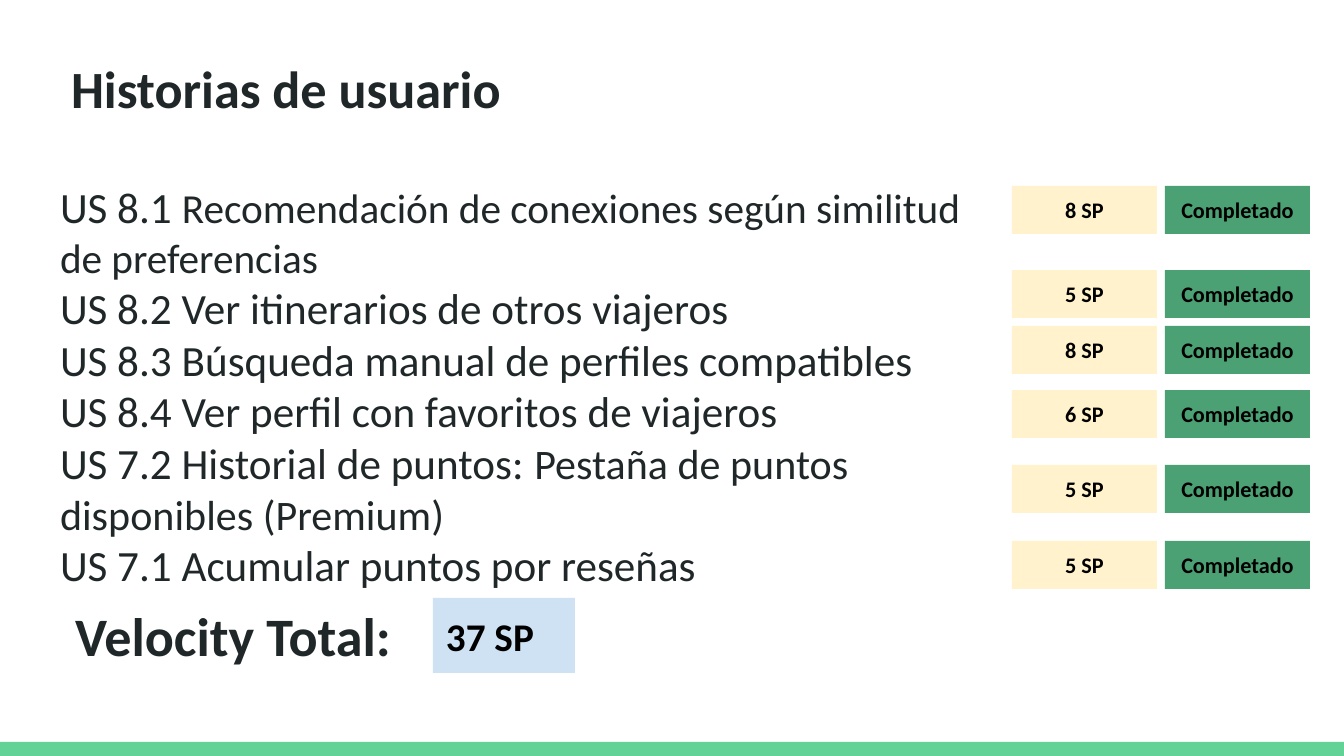
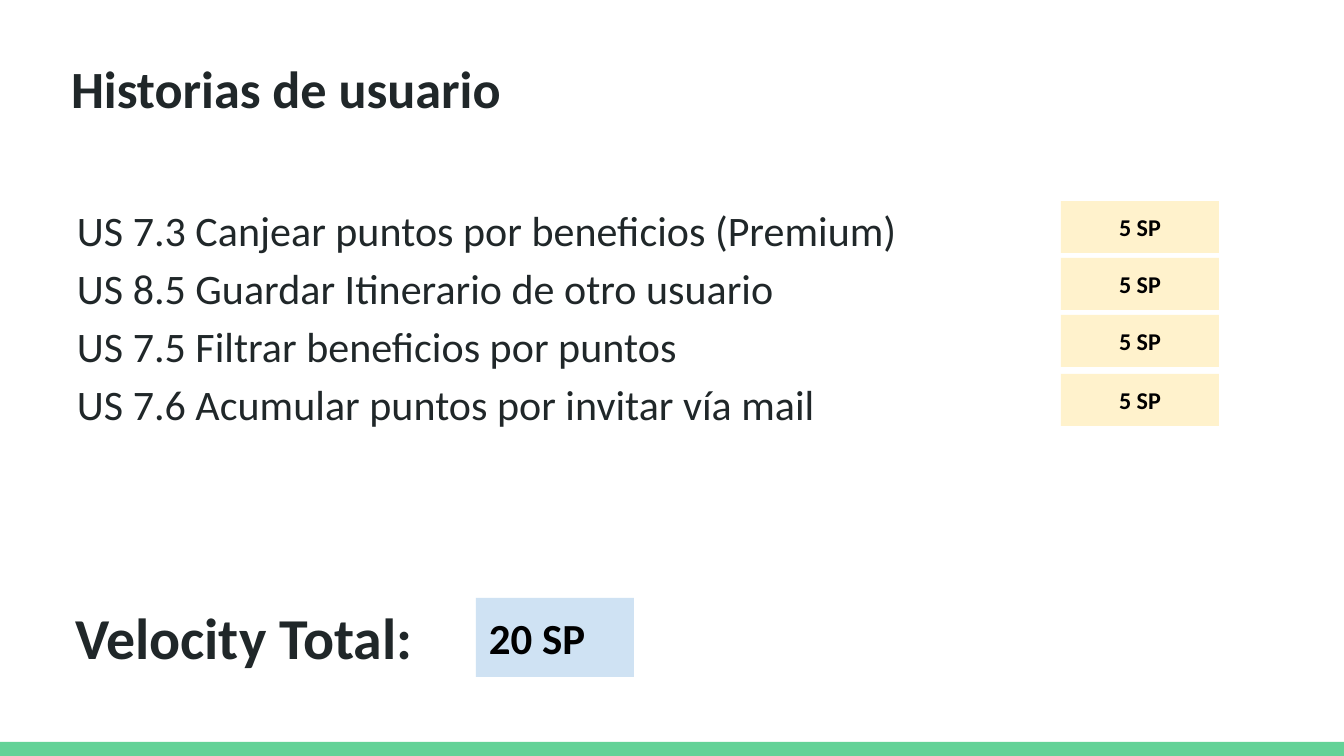
from dataclasses import dataclass

from lxml import etree
from pptx import Presentation
from pptx.dml.color import RGBColor
from pptx.enum.shapes import MSO_SHAPE
from pptx.enum.text import MSO_ANCHOR, MSO_AUTO_SIZE, PP_ALIGN
from pptx.oxml.ns import qn
from pptx.util import Emu, Pt

RECT = MSO_SHAPE.RECTANGLE
TOP, MIDDLE = MSO_ANCHOR.TOP, MSO_ANCHOR.MIDDLE
LEFT, CENTER = PP_ALIGN.LEFT, PP_ALIGN.CENTER
FIXED = MSO_AUTO_SIZE.NONE

WIDE, HIGH = 1344, 756
SCALE = 9144000 / WIDE


@dataclass(frozen=True)
class Theme:
    font: str = "Calibri"
    ink: str = "202729"
    black: str = "000000"
    band: str = "63D297"
    points: str = "FFF2CC"
    done: str = "4BA173"
    total: str = "CFE2F3"
    title: float = 28


THEME = Theme()

SPRINTS = [
    {
        "stories": [
            [("US 8.1 ", 23.1),
             ("Recomendación de conexiones según similitud de preferencias", 22.1)],
            [("US 8.2 Ver itinerarios de otros viajeros", 23.1)],
            [("US 8.3 Búsqueda manual de perfiles compatibles", 23.1)],
            [("US 8.4 Ver perfil con favoritos de viajeros", 23.1)],
            [("US 7.2 Historial de puntos: ", 23.1),
             ("Pestaña de puntos disponibles (Premium)", 22.5)],
            [("US 7.1 Acumular puntos por reseñas", 23.1)],
        ],
        "list": (48, 168, 966, 430), "spacing": 1.0,
        "points": [8, 5, 8, 6, 5, 5],
        "rows": [186, 270, 326, 390, 465, 541],
        "tags": [(1012, "points"), (1165, "done")],
        "tag": (145, 48, 11.9),
        "label": (62, 589, 382, 93), "label_size": 29,
        "total": (433, 598, 142, 75), "total_size": 21,
    },
    {
        "stories": [
            [("US 7.3 Canjear puntos por beneficios (Premium)", 22.5)],
            [("US 8.5 Guardar Itinerario de otro usuario", 22.5)],
            [("US 7.5 Filtrar beneficios por puntos", 22.5)],
            [("US 7.6 Acumular puntos por invitar vía mail", 22.5)],
        ],
        "list": (65, 185, 1046, 383), "spacing": 1.15,
        "points": [5, 5, 5, 5],
        "rows": [201, 258, 315, 374],
        "tags": [(1061, "points")],
        "tag": (158, 52, 12.9),
        "label": (62, 589, 426, 97), "label_size": 31,
        "total": (476, 598, 158, 79), "total_size": 23,
    },
]


def write(shape, at, lines, pad, color, bold=True, align=LEFT, anchor=TOP, spacing=1.0):
    """Place a shape and fill it with lines, each a list of (text, size) parts."""
    shape.left, shape.top, shape.width, shape.height = (Emu(round(v * SCALE)) for v in at)
    frame = shape.text_frame
    frame.word_wrap = True
    frame.auto_size = FIXED
    frame.vertical_anchor = anchor
    frame.margin_left = frame.margin_right = Emu(round(pad * SCALE))
    frame.margin_top = frame.margin_bottom = Emu(round(pad * SCALE))
    for i, parts in enumerate(lines):
        para = frame.add_paragraph() if i else frame.paragraphs[0]
        para.alignment = align
        para.line_spacing = spacing
        para.space_before = para.space_after = Pt(0)
        for text, size in parts:
            run = para.add_run()
            run.text = text
            run.font.name = THEME.font
            run.font.size = Pt(size)
            run.font.bold = bold
            run.font.color.rgb = RGBColor.from_string(color)


def block(slide, at, fill):
    shape = slide.shapes.add_shape(RECT, *(Emu(round(v * SCALE)) for v in at))
    shape.shadow.inherit = False
    shape.fill.solid()
    shape.fill.fore_color.rgb = RGBColor.from_string(fill)
    shape.line.fill.background()
    return shape


deck = Presentation()
deck.slide_width = Emu(round(WIDE * SCALE))
deck.slide_height = Emu(round(HIGH * SCALE))
layout = deck.slide_layouts[1]

for sprint in SPRINTS:
    slide = deck.slides.add_slide(layout)
    write(slide.shapes.title, (58, 50, 1253, 85),
          [[("Historias de usuario", THEME.title)]], 13, THEME.ink, spacing=0.9)

    body = slide.placeholders[1]
    write(body, sprint["list"], sprint["stories"], 12, THEME.ink,
          bold=False, spacing=sprint["spacing"])
    for para in body.text_frame.paragraphs:
        props = para._p.get_or_add_pPr()
        props.set("marL", "0")
        props.set("indent", "0")
        etree.SubElement(props, qn("a:buNone"))

    wide, high, size = sprint["tag"]
    for left, kind in sprint["tags"]:
        for top, points in zip(sprint["rows"], sprint["points"]):
            at = (left, top, wide, high)
            text = "Completado" if kind == "done" else f"{points} SP"
            write(block(slide, at, getattr(THEME, kind)), at, [[(text, size)]],
                  11, THEME.black, align=CENTER, anchor=MIDDLE)

    label = slide.shapes.add_textbox(0, 0, 0, 0)
    write(label, sprint["label"], [[("Velocity Total:", sprint["label_size"])]],
          13, THEME.ink)
    at = sprint["total"]
    total = f"{sum(sprint['points'])} SP"
    write(block(slide, at, THEME.total), at, [[(total, sprint["total_size"])]],
          13, THEME.black, anchor=MIDDLE)

# The bottom band lives on the master, so every slide shows it.
band = block(deck.slides[0], (0, 742, WIDE, 14), THEME.band)
deck.slide_master.shapes.element.append(band.element)

deck.save("out.pptx")
